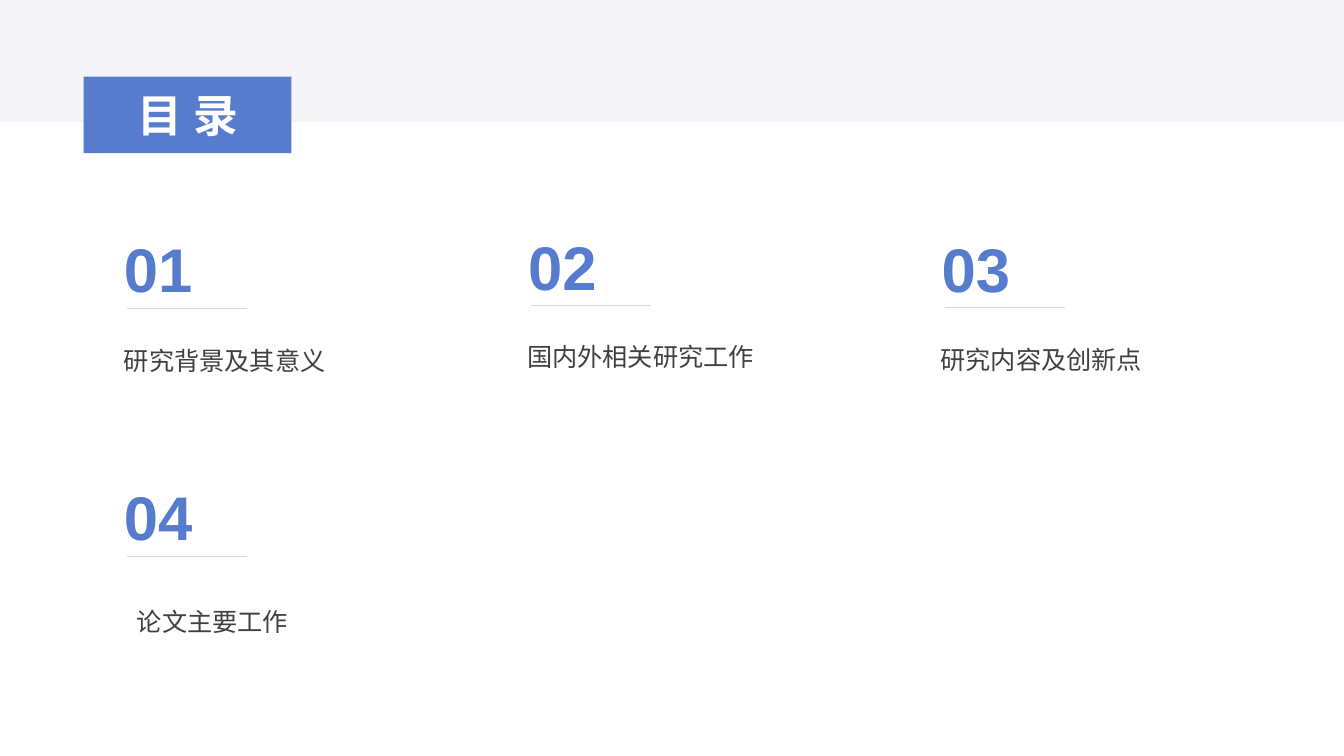
from pptx import Presentation
from pptx.dml.color import RGBColor as RGB
from pptx.enum.shapes import MSO_CONNECTOR as Conn, MSO_SHAPE as Shape
from pptx.enum.text import MSO_ANCHOR as Anchor, MSO_AUTO_SIZE as AutoSize, PP_ALIGN as Align
from pptx.oxml.ns import qn
from pptx.util import Pt

THEME = {
    "font": "Arial",
    "accent": RGB.from_string("577CCE"),
    "band": RGB.from_string("F5F5F8"),
    "rule": RGB.from_string("D9D9D9"),
    "ink": RGB.from_string("404040"),
    "white": RGB.from_string("FFFFFF"),
    "title": Pt(32),
    "number": Pt(44),
    "label": Pt(18),
}
PX = 9144
W, H = 1333, 750


def px(*lengths):
    return [n * PX for n in lengths]


def write(sp, text, size, color, bold=False):
    tf = sp.text_frame
    tf.word_wrap = True
    tf.auto_size = AutoSize.NONE
    p = tf.paragraphs[0]
    p.text = text
    p.font.name = THEME["font"]
    p.font.size = THEME[size]
    p.font.color.rgb = THEME[color]
    p.font.bold = bold
    return p


prs = Presentation()
prs.slide_width, prs.slide_height = px(W, H)
s = prs.slides.add_slide(prs.slide_layouts[5])
shapes = s.shapes
title = shapes.title

band = shapes.add_shape(Shape.RECTANGLE, *px(0, 0, W, 121))
band.shadow.inherit = False
band.fill.solid()
band.fill.fore_color.rgb = THEME["band"]
band.line.fill.background()

sections = [
    ("研究背景及其意义", 113, 224, 113, 323, 306),
    ("国内外相关研究工作", 514, 222, 513, 319, 303),
    ("研究内容及创新点", 924, 224, 923, 322, 305),
    ("论文主要工作", 113, 470, 126, 582, 552),
]
for i, (label, x, y, label_x, label_y, rule_y) in enumerate(sections, 1):
    sp = shapes.add_textbox(*px(label_x, label_y, 354, 107))
    p = write(sp, label, "label", "ink")
    p.alignment = Align.JUSTIFY
    p.line_spacing = 1.5
    p.space_after = Pt(20)

    sp = shapes.add_textbox(*px(x, y, 89, 84))
    write(sp, f"{i:02}", "number", "accent", True)

    rule = shapes.add_connector(Conn.STRAIGHT, *px(x + 132, rule_y, x + 13, rule_y))
    rule.line.color.rgb = THEME["rule"]
    rule.line.width = Pt(0.5)
    rule._element.spPr.append(rule._element.makeelement(qn("a:effectLst")))

title.left, title.top, title.width, title.height = px(83, 76, 206, 76)
title.fill.solid()
title.fill.fore_color.rgb = THEME["accent"]
p = write(title, "目录", "title", "white", True)
p.alignment = Align.CENTER
p.runs[0].font._element.set("spc", "800")
title.text_frame.vertical_anchor = Anchor.MIDDLE
shapes._spTree.append(title._element)

prs.save("out.pptx")
